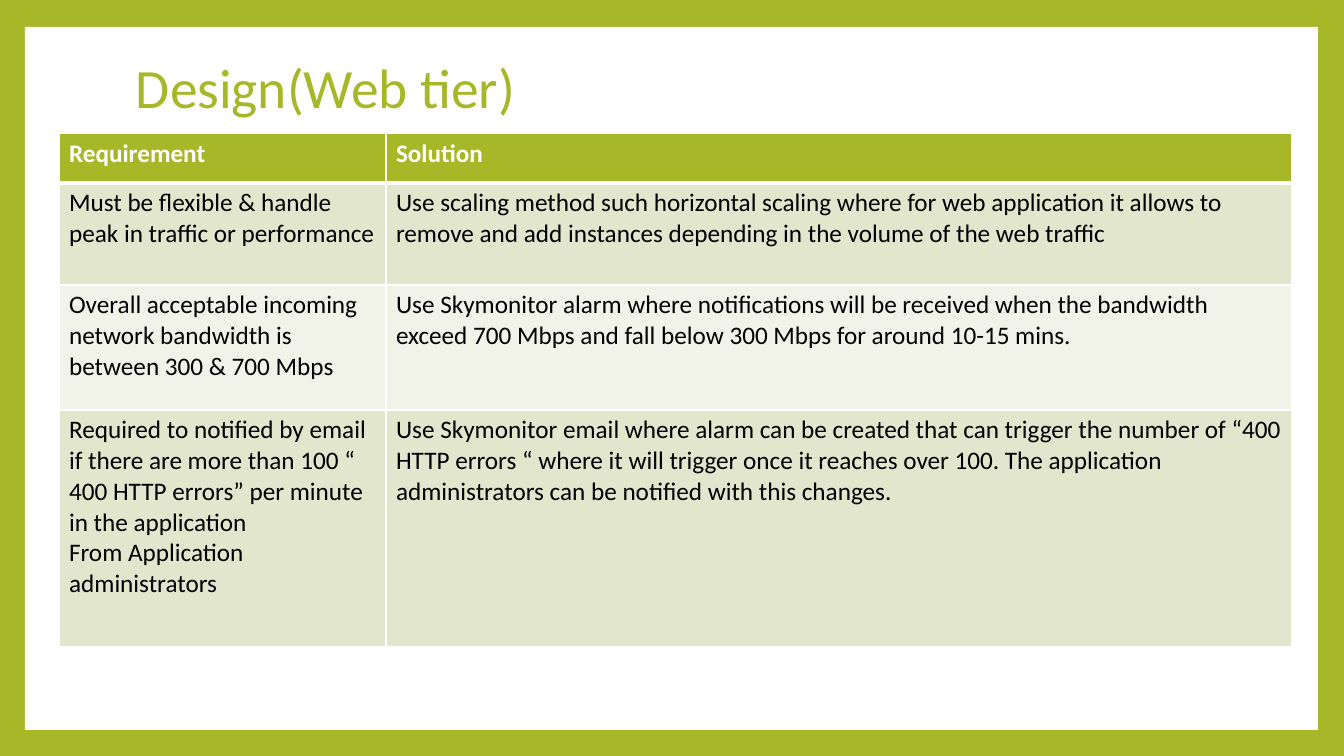
from lxml import etree
from pptx import Presentation
from pptx import util as u
from pptx.dml.color import RGBColor
from pptx.enum import shapes, text
from pptx.oxml.ns import qn

PX = 914400 / 100.8
FONT = "Calibri"
GREEN = RGBColor(0xA6, 0xB7, 0x27)
WHITE = RGBColor(0xFF, 0xFF, 0xFF)
BLACK = RGBColor(0, 0, 0)
BANDS = [RGBColor(0xE1, 0xE6, 0xCD), RGBColor(0xF1, 0xF3, 0xE8)]

COLUMN_WIDTHS = [327, 906]
ROW_HEIGHTS = [50, 102, 125, 237]
REQUIREMENTS = [
    ("Requirement", "Solution"),
    ("Must be flexible & handle peak in traffic or performance",
     "Use scaling method such horizontal scaling where for web application it allows to "
     "remove and add instances depending in the volume of the web traffic"),
    ("Overall acceptable incoming network bandwidth is between 300 & 700 Mbps",
     "Use Skymonitor alarm where notifications will be received when the bandwidth "
     "exceed 700 Mbps and fall below 300 Mbps for around 10-15 mins."),
    ("Required to notified by email if there are more than 100 “ 400 HTTP errors” per minute "
     "in the application\nFrom Application administrators",
     "Use Skymonitor email where alarm can be created that can trigger the number of "
     "“400 HTTP errors “ where it will trigger once it reaches over 100. The application "
     "administrators can be notified with this changes."),
]


def px(length):
    return u.Emu(round(length * PX))


def style(paragraph, size, color, bold=False):
    font = paragraph.font
    font.name, font.size, font.bold = FONT, u.Pt(size), bold
    font.color.rgb = color


def add_frame(slide, left, top, width, height):
    """Green page background with a white panel on it."""
    background = slide.background.fill
    background.solid()
    background.fore_color.rgb = GREEN
    panel = slide.shapes.add_shape(shapes.MSO_SHAPE.RECTANGLE,
                                   px(left), px(top), px(width), px(height))
    panel.shadow.inherit = False
    panel.fill.solid()
    panel.fill.fore_color.rgb = WHITE
    panel.line.fill.background()


def add_title(slide, wording, left, top, width, height):
    title = slide.shapes.add_textbox(px(left), px(top), px(width), px(height)).text_frame
    title.word_wrap = True
    title.vertical_anchor = text.MSO_ANCHOR.MIDDLE
    heading = title.paragraphs[0]
    heading.text = wording
    heading.line_spacing = 0.9
    style(heading, 39.6, GREEN)


def add_borders(cell, top, bottom):
    """White rules; top and bottom are widths in points."""
    properties = cell._tc.get_or_add_tcPr()
    for side, width in (("L", 1), ("R", 1), ("T", top), ("B", bottom)):
        rule = etree.SubElement(properties, qn(f"a:ln{side}"), w=str(u.Pt(width)))
        solid = etree.SubElement(rule, qn("a:solidFill"))
        etree.SubElement(solid, qn("a:srgbClr"), val=str(WHITE))


def add_requirements(slide, left, top):
    table = slide.shapes.add_table(len(ROW_HEIGHTS), len(COLUMN_WIDTHS), px(left), px(top),
                                   px(sum(COLUMN_WIDTHS)), px(sum(ROW_HEIGHTS))).table
    for column, width in zip(table.columns, COLUMN_WIDTHS):
        column.width = px(width)
    for r, (row, height) in enumerate(zip(table.rows, ROW_HEIGHTS)):
        row.height = px(height)
        header = r == 0
        for cell, wording in zip(row.cells, REQUIREMENTS[r]):
            cell.text = wording
            for paragraph in cell.text_frame.paragraphs:
                style(paragraph, 18, WHITE if header else BLACK, header)
            add_borders(cell, top=3 if r == 1 else 1, bottom=3 if header else 1)
            cell.fill.solid()
            cell.fill.fore_color.rgb = GREEN if header else BANDS[(r - 1) % 2]


def main():
    deck = Presentation()
    deck.slide_width, deck.slide_height = px(1344), px(756)
    slide = deck.slides.add_slide(deck.slide_layouts[6])
    add_frame(slide, 25, 27, 1293, 703)
    add_title(slide, "Design(Web tier)", 126, 67, 1089, 48)
    add_requirements(slide, 59, 133)
    deck.save("out.pptx")


if __name__ == "__main__":
    main()
